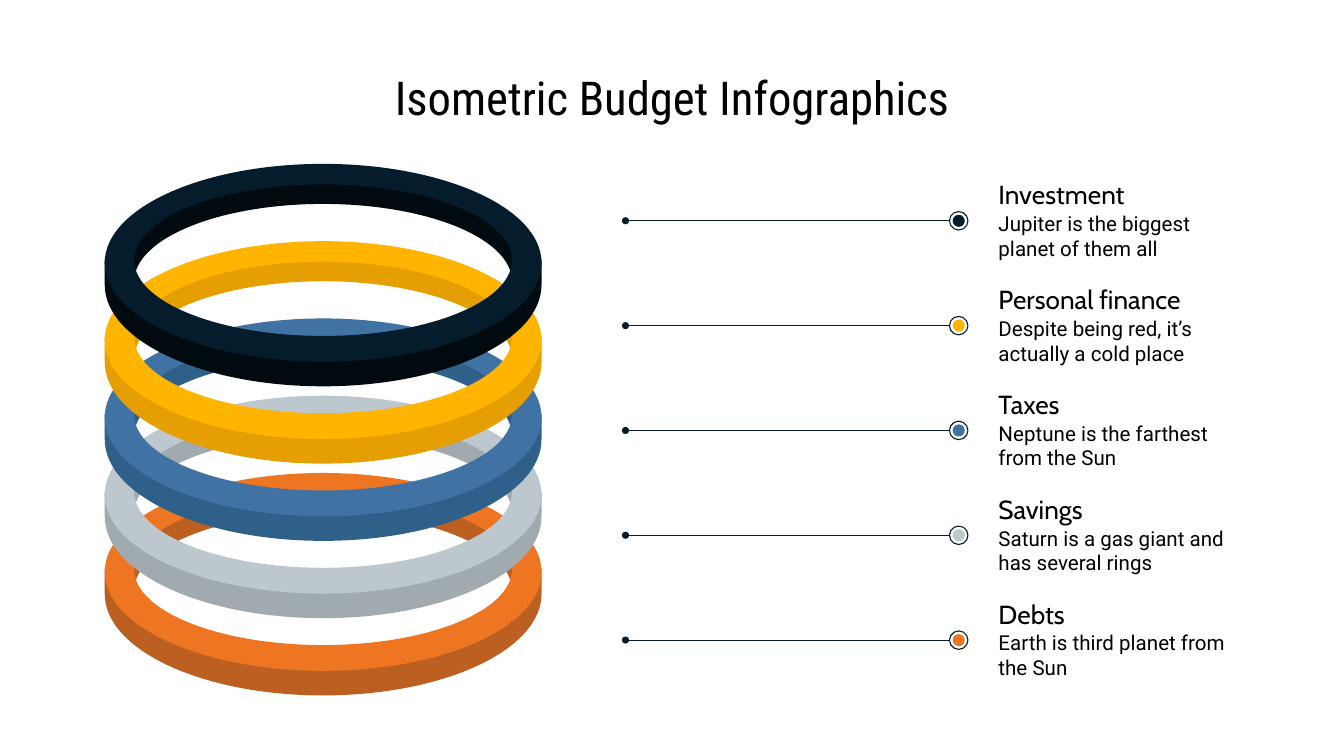
from math import asin, cos, pi, sin, tan

from lxml import etree
from pptx import Presentation
from pptx.dml.color import RGBColor
from pptx.enum.shapes import MSO_CONNECTOR, MSO_SHAPE
from pptx.enum.text import MSO_ANCHOR, MSO_AUTO_SIZE, PP_ALIGN
from pptx.oxml.ns import qn
from pptx.util import Pt

OVAL = MSO_SHAPE.OVAL
STRAIGHT = MSO_CONNECTOR.STRAIGHT
MIDDLE = MSO_ANCHOR.MIDDLE
FIXED_SIZE = MSO_AUTO_SIZE.NONE
CENTER = PP_ALIGN.CENTER

# Content: heading, description, top colour, side colour, from top to bottom
TITLE = "Isometric Budget Infographics"
CATEGORIES = [
    ("Investment", "Jupiter is the biggest planet of them all", "051C2C", "010A0F"),
    ("Personal finance", "Despite being red, it’s actually a cold place", "FFB400", "E59F03"),
    ("Taxes", "Neptune is the farthest from the Sun", "4073A3", "2F6089"),
    ("Savings", "Saturn is a gas giant and has several rings", "BCC7CE", "A1AAAF"),
    ("Debts", "Earth is third planet from the Sun", "EE7623", "BC6022"),
]
NAVY, BLACK = "051C2C", "000000"

# Layout, in points
RING_X, RING_Y, RING_PITCH = 173.1, 140.8, 41.4
OUTER_RX, INNER_RX = 117, 101.2
ROW_Y, ROW_PITCH = 118.3, 56.16
START_X, MARKER_X = 335.1, 513.6
TEXT_X, TEXT_W = 527.8, 144.7
UNITS = 100  # freeform units per point


def color(hex_text):
    return RGBColor.from_string(hex_text)


def arc(cy, rx, ry, start=0, end=2 * pi, pieces=4):
    """Start point, then two handles and an end point for each curve piece."""
    step = (end - start) / pieces
    reach = 4 / 3 * tan(step / 4)

    def at(angle, pull=0):
        return (RING_X + rx * (cos(angle) - pull * sin(angle)),
                cy + ry * (sin(angle) + pull * cos(angle)))

    points = [at(start)]
    for i in range(pieces):
        a, b = start + i * step, start + (i + 1) * step
        points += [at(a, reach), at(b, -reach), at(b)]
    return points


def add_band(outer, hole, fill):
    outer, hole = [[(round(x * UNITS), round(y * UNITS)) for x, y in contour]
                   for contour in (outer, hole[::-1])]
    builder = slide.shapes.build_freeform(*outer[0], scale=Pt(1) / UNITS)
    builder.add_line_segments(outer[1:], close=True)
    builder.move_to(*hole[0])
    builder.add_line_segments(hole[1:], close=True)
    band = builder.convert_to_shape()
    # Each three points become one Bezier curve
    segments = list(band._element.iter(qn("a:lnTo")))
    for i in range(0, len(segments), 3):
        curve = etree.Element(qn("a:cubicBezTo"))
        segments[i].addprevious(curve)
        for segment in segments[i:i + 3]:
            curve.append(segment[0])
            segment.getparent().remove(segment)
    band.shadow.inherit = False
    band.fill.solid()
    band.fill.fore_color.rgb = color(fill)
    band.line.fill.background()


def add_ring(cy, top_fill, side_fill):
    # Side wall: an ellipse with square shoulders
    side_y, side_ry, shoulder_y = cy + 11.8, 54.4, cy - 1.6
    tilt = asin((side_y - shoulder_y) / side_ry)
    lower = arc(side_y, OUTER_RX, side_ry, 0, pi, 2)
    upper = arc(side_y, OUTER_RX, side_ry, pi + tilt, 2 * pi - tilt, 2)
    left_shoulder = [(RING_X - OUTER_RX, shoulder_y)] * 3
    right_shoulder = [(RING_X + OUTER_RX, shoulder_y)] * 3
    wall = lower + left_shoulder + upper[:1] * 2 + upper + right_shoulder
    add_band(wall, arc(cy + 10, INNER_RX, 41.5), side_fill)
    # Top face
    add_band(arc(cy, OUTER_RX, 53), arc(cy - 1.4, INNER_RX, 40.6), top_fill)


def add_circle(x, y, diameter, fill=None):
    circle = slide.shapes.add_shape(
        OVAL, Pt(x - diameter / 2), Pt(y - diameter / 2), Pt(diameter), Pt(diameter))
    circle.shadow.inherit = False
    if fill:
        circle.fill.solid()
        circle.fill.fore_color.rgb = color(fill)
        circle.line.fill.background()
    else:
        circle.fill.background()
        circle.line.color.rgb = color(NAVY)
        circle.line.width = Pt(0.6)


def add_pointer(y, fill):
    line = slide.shapes.add_connector(
        STRAIGHT, Pt(START_X), Pt(y), Pt(MARKER_X - 5), Pt(y))
    line.line.color.rgb = color(NAVY)
    line.line.width = Pt(0.6)
    etree.SubElement(line._element.spPr, qn("a:effectLst"))
    add_circle(MARKER_X, y, 9.9)
    add_circle(MARKER_X, y, 6.5, fill)
    add_circle(START_X, y, 3.8, NAVY)


def write(box, text, font, size):
    frame = box.text_frame
    frame.word_wrap = True
    frame.auto_size = FIXED_SIZE
    frame.vertical_anchor = MIDDLE
    frame.margin_left = frame.margin_right = Pt(7.2)
    frame.margin_top = frame.margin_bottom = Pt(7.2)
    run = frame.paragraphs[0].add_run()
    run.text = text
    run.font.name = font
    run.font.size = Pt(size)
    run.font.color.rgb = color(BLACK)


def add_label(y, height, text, font, size):
    box = slide.shapes.add_textbox(Pt(TEXT_X), Pt(y), Pt(TEXT_W), Pt(height))
    write(box, text, font, size)


prs = Presentation()
prs.slide_width, prs.slide_height = Pt(720), Pt(405)
slide = prs.slides.add_slide(prs.slide_layouts[5])

# Title
title = slide.shapes.title
title.left, title.top, title.width, title.height = Pt(56), Pt(36), Pt(608), Pt(32)
write(title, TITLE, "Roboto Condensed", 25)
title.text_frame.paragraphs[0].alignment = CENTER

# Stack of rings, lowest first
for level, (_, _, top_fill, side_fill) in reversed(list(enumerate(CATEGORIES))):
    add_ring(RING_Y + level * RING_PITCH, top_fill, side_fill)

# Pointers and labels
for row, (heading, description, fill, _) in enumerate(CATEGORIES):
    y = ROW_Y + row * ROW_PITCH
    add_pointer(y, fill)
    add_label(y - 22.5, 16.6, heading, "Cabin", 14)
    add_label(y - 6, 28, description, "Roboto", 11)

prs.save("out.pptx")
